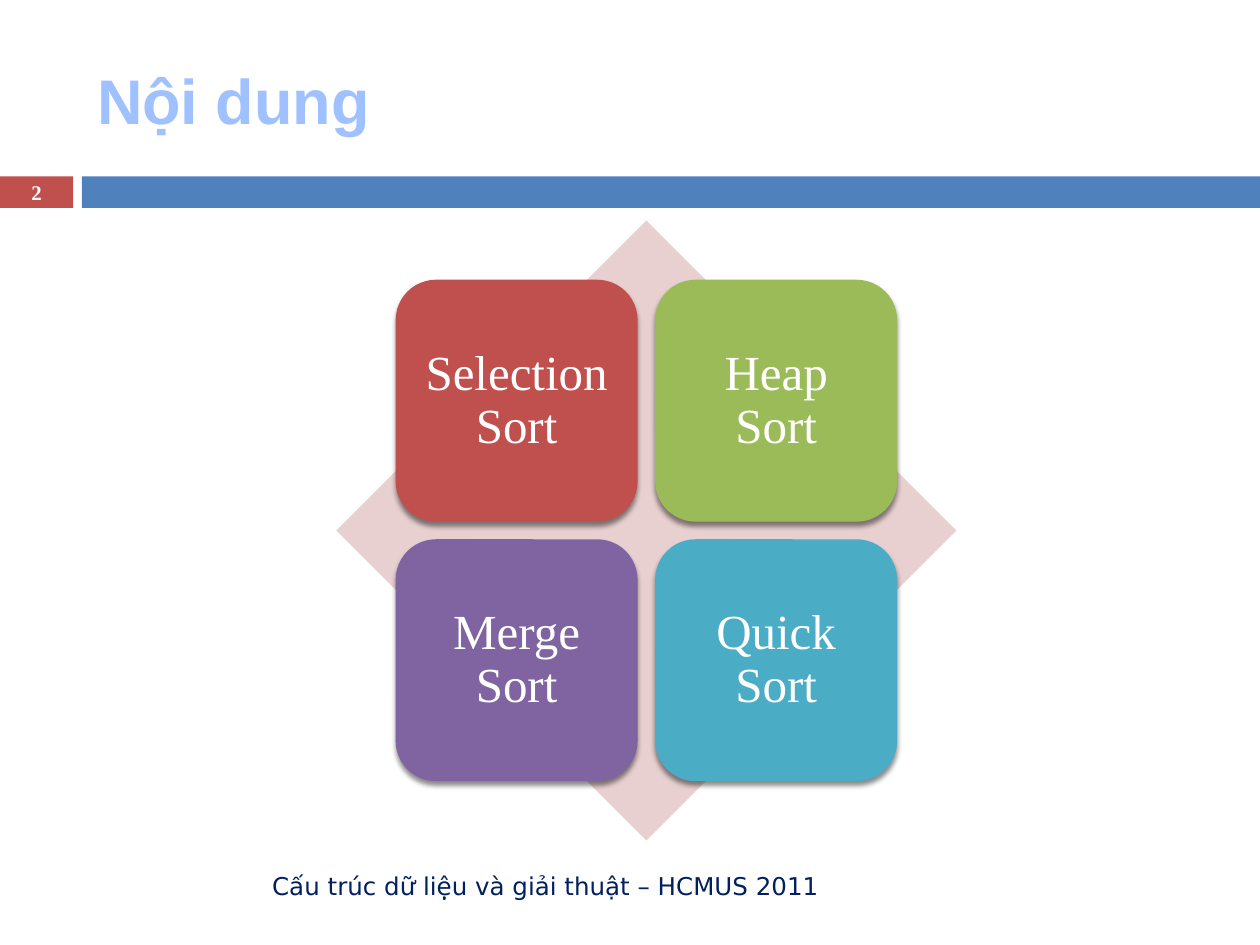
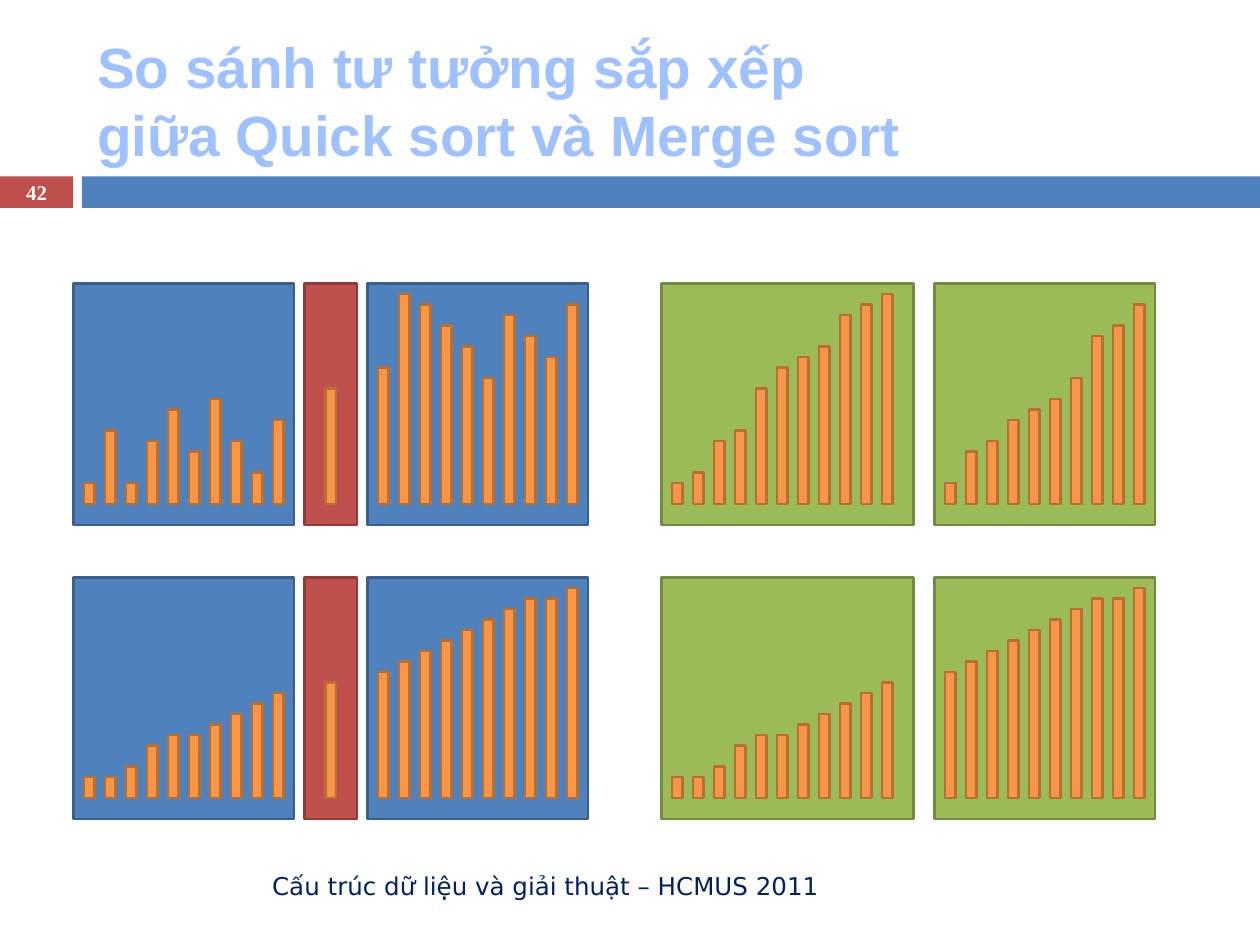
from dataclasses import dataclass
from lxml.etree import SubElement
from pptx import Presentation
from pptx.dml.color import RGBColor
from pptx.enum.shapes import MSO_SHAPE as Form
from pptx.enum.text import MSO_ANCHOR as Anchor, MSO_AUTO_SIZE as Fit, PP_ALIGN as Align
from pptx.oxml.ns import qn
from pptx.shapes.autoshape import Shape
from pptx.slide import Slide
from pptx.text.text import TextFrame
from pptx.util import Inches, Pt

HUES = {
    "title": "A0C1FF", "foot": "002060", "white": "FFFFFF", "pale": "E8D0D0",
    "red": "C0504D", "blue": "4F81BD", "green": "9BBB59",
    "plum": "8064A2", "teal": "4BACC6", "gold": "F79646",
}
EDGES = {"red": "8E3B39", "blue": "3A5F8C", "green": "738A42", "gold": "B76F34"}
FOOT = "Cấu trúc dữ liệu và giải thuật – HCMUS 2011"
SERIF = "Times New Roman"
UNIT = 1 / 12  # bar width and height step, in inches


@dataclass
class Box:
    left: float
    top: float
    width: float
    height: float

    def spans(self) -> list:
        return [Inches(v) for v in (self.left, self.top, self.width, self.height)]


@dataclass
class Style:
    font: str
    size: float
    hue: str
    bold: bool = False
    align: Align = Align.CENTER


@dataclass
class Tile:
    text: str
    hue: str


@dataclass
class Panel:
    left: float
    width: float
    hue: str
    bars: list[int]
    inset: float = UNIT


TITLE = Style("Arial", 36, "title", True, Align.LEFT)
SMALL = Style("Arial", 32.4, "title", True, Align.LEFT)
FOOTER = Style("DejaVu Sans", 14, "foot", align=Align.RIGHT)
NUMBER = Style(SERIF, 11.9, "white", True)
LABEL = Style(SERIF, 28, "white")

TILES = [Tile("Selection Sort", "red"), Tile("Heap Sort", "green"),
         Tile("Merge Sort", "plum"), Tile("Quick Sort", "teal")]

# Bar heights in units
LOW = [2, 7, 2, 6, 9, 5, 10, 6, 3, 8]
PIVOT = [11]
HIGH = [13, 20, 19, 17, 15, 12, 18, 16, 14, 19]
HALF_A = [2, 3, 6, 7, 11, 13, 14, 15, 18, 19, 20]
HALF_B = [2, 5, 6, 8, 9, 10, 12, 16, 17, 19]


def paint(frame: TextFrame, text: str, style: Style, inset: float | None = None) -> None:
    """Fill a text frame and format all its runs."""
    frame.text = text
    frame.word_wrap = True
    frame.auto_size = Fit.NONE
    frame.vertical_anchor = Anchor.MIDDLE
    if inset is not None:
        frame.margin_left = frame.margin_right = Inches(inset)
        frame.margin_top = frame.margin_bottom = Inches(inset)
    for para in frame.paragraphs:
        para.alignment = style.align
        for run in para.runs:
            font = run.font
            font.name, font.size, font.bold = style.font, Pt(style.size), style.bold
            font.color.rgb = RGBColor.from_string(HUES[style.hue])


def block(slide: Slide, box: Box, hue: str, form: Form = Form.RECTANGLE,
          edge: bool = False) -> Shape:
    shape = slide.shapes.add_shape(form, *box.spans())
    shape.shadow.inherit = False
    shape.fill.solid()
    shape.fill.fore_color.rgb = RGBColor.from_string(HUES[hue])
    if edge:
        shape.line.color.rgb = RGBColor.from_string(EDGES[hue])
        shape.line.width = Pt(1.5)
    else:
        shape.line.fill.background()
    return shape


def shade(shape: Shape) -> None:
    """Give a shape a soft shadow straight below it."""
    effects = shape.element.spPr.find(qn("a:effectLst"))
    drop = SubElement(effects, qn("a:outerShdw"), blurRad=str(Pt(3)),
                      dist=str(Pt(2.4)), dir="5400000", rotWithShape="0")
    tint = SubElement(drop, qn("a:srgbClr"), val="000000")
    SubElement(tint, qn("a:alpha"), val="45000")


def start(deck: Presentation, title: str, style: Style, number: int) -> Slide:
    """Add a slide with its title, bands, number and footer."""
    slide = deck.slides.add_slide(deck.slide_layouts[5])
    head = slide.shapes.title
    head.left, head.top, head.width, head.height = Box(0.67, 0.25, 8.92, 1.08).spans()
    paint(head.text_frame, title, style)
    badge = block(slide, Box(0, 1.4, 0.58, 0.25), "red")
    paint(badge.text_frame, str(number), NUMBER, 0)
    block(slide, Box(0.65, 1.4, 9.35, 0.25), "blue")
    foot = slide.shapes.add_textbox(*Box(0.67, 6.83, 5.93, 0.4).spans())
    paint(foot.text_frame, FOOT, FOOTER)
    return slide


def topics(deck: Presentation) -> None:
    slide = start(deck, "Nội dung", TITLE, 2)
    block(slide, Box(2.67, 1.75, 4.92, 4.92), "pale", Form.DIAMOND)
    side, step = 1.92, 2.06
    for i, tile in enumerate(TILES):
        row, col = divmod(i, 2)
        box = Box(3.14 + col * step, 2.22 + row * step, side, side)
        shape = block(slide, box, tile.hue, Form.ROUNDED_RECTANGLE)
        shade(shape)
        paint(shape.text_frame, tile.text, LABEL, 0.12)
        shape.text_frame.paragraphs[0].line_spacing = 0.9


def chart(slide: Slide, panel: Panel, top: float) -> None:
    """Draw a panel with its bars on a common base line."""
    block(slide, Box(panel.left, top, panel.width, 23 * UNIT), panel.hue, edge=True)
    base = top + 21 * UNIT
    for i, units in enumerate(panel.bars):
        left = panel.left + panel.inset + 2 * i * UNIT
        tall = units * UNIT
        block(slide, Box(left, base - tall, UNIT, tall), "gold", edge=True)


def stage(slide: Slide, top: float, low: list[int], high: list[int],
          first: list[int], second: list[int]) -> None:
    """Draw one row: quick sort parts, then merge sort halves."""
    for panel in (
        Panel(7 * UNIT, 1.75, "blue", low),
        Panel(29 * UNIT, 5 * UNIT, "red", PIVOT, 2 * UNIT),
        Panel(35 * UNIT, 1.75, "blue", high),
        Panel(5.25, 2, "green", first),
        Panel(89 * UNIT, 1.75, "green", second),
    ):
        chart(slide, panel, top)


def compare(deck: Presentation) -> None:
    title = "So sánh tư tưởng sắp xếp \vgiữa Quick sort và Merge sort"
    slide = start(deck, title, SMALL, 42)
    low, high = sorted(LOW), sorted(HIGH)
    stage(slide, 2.25, LOW, HIGH, HALF_A, HALF_B)
    stage(slide, 55 * UNIT, low, high, low + PIVOT, high)


def main() -> None:
    deck = Presentation()
    deck.slide_width, deck.slide_height = Inches(10), Inches(7.5)
    topics(deck)
    compare(deck)
    deck.save("out.pptx")


if __name__ == "__main__":
    main()
